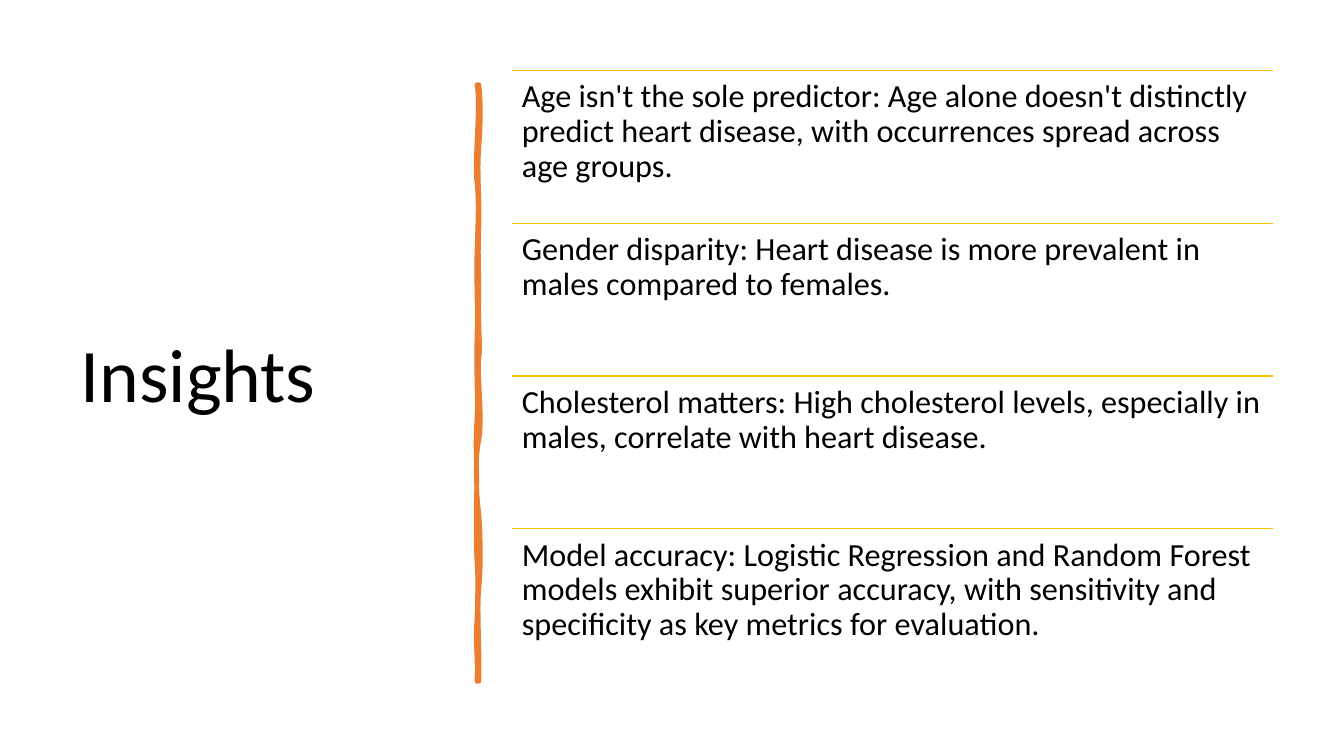
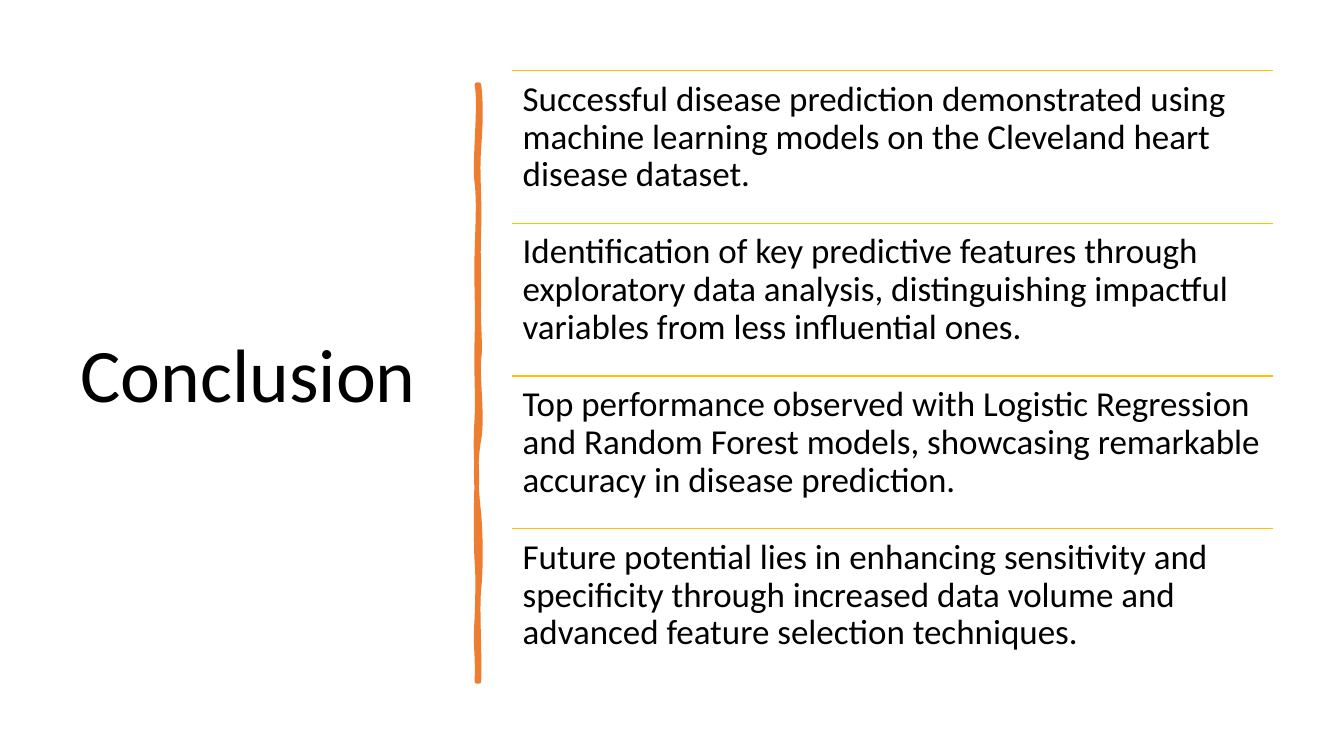
from collections import namedtuple
from dataclasses import dataclass

from lxml import etree
from pptx import Presentation
from pptx import util as u
from pptx.dml.color import RGBColor
from pptx.enum import shapes, text
from pptx.oxml import ns

EMU_PER_PX = 9144

Box = namedtuple("Box", "left top width height")


@dataclass(frozen=True)
class Theme:
    font: str = "Calibri"
    ink: RGBColor = RGBColor(0x00, 0x00, 0x00)
    paper: RGBColor = RGBColor(0xFF, 0xFF, 0xFF)
    brush: RGBColor = RGBColor(0xED, 0x7D, 0x31)
    rule: RGBColor = RGBColor(0xFF, 0xC0, 0x00)
    title_size: int = 54
    brush_weight: float = 3.25
    rule_weight: float = 1
    line_spacing: float = 0.9


THEME = Theme()

SLIDE_SIZE = (1333, 750)
TITLE_BOX = Box(70, 70, 374, 610)
BRUSH_BOX = Box(473, 84, 2, 592)
POINTS_BOX = Box(508, 70, 755, 606)
POINT_INSET_PER_PT = 5 / 12
TITLE_INSETS = (10, 5)

BRUSH_START = (2, 0)
BRUSH_CURVES = [
    ((4, 18), (4, 35), (2, 62)),
    ((0, 89), (3, 111), (2, 142)),
    ((1, 173), (2, 178), (2, 210)),
    ((1, 241), (4, 258), (2, 272)),
    ((0, 286), (6, 330), (2, 352)),
    ((-2, 373), (-1, 400), (2, 426)),
    ((4, 452), (4, 480), (2, 500)),
    ((0, 519), (3, 566), (2, 592)),
    ((1, 592), (0, 592), (0, 592)),
    ((1, 562), (-2, 560), (0, 529)),
    ((1, 499), (1, 486), (0, 473)),
    ((-1, 460), (-1, 411), (0, 393)),
    ((0, 375), (-2, 361), (0, 331)),
    ((1, 302), (-1, 289), (0, 251)),
    ((1, 214), (-1, 197), (0, 166)),
    ((1, 134), (2, 116), (0, 97)),
    ((-3, 79), (4, 20), (0, 0)),
]

SLIDES = [
    ("Insights", 23, [
        "Age isn't the sole predictor: Age alone doesn't distinctly predict "
        "heart disease, with occurrences spread across age groups.",
        "Gender disparity: Heart disease is more prevalent in males compared "
        "to females.",
        "Cholesterol matters: High cholesterol levels, especially in males, "
        "correlate with heart disease.",
        "Model accuracy: Logistic Regression and Random Forest models exhibit "
        "superior accuracy, with sensitivity and specificity as key metrics "
        "for evaluation.",
    ]),
    ("Conclusion", 25, [
        "Successful disease prediction demonstrated using machine learning "
        "models on the Cleveland heart disease dataset.",
        "Identification of key predictive features through exploratory data "
        "analysis, distinguishing impactful variables from less influential "
        "ones.",
        "Top performance observed with Logistic Regression and Random Forest "
        "models, showcasing remarkable accuracy in disease prediction.",
        "Future potential lies in enhancing sensitivity and specificity "
        "through increased data volume and advanced feature selection "
        "techniques.",
    ]),
]


def px(length):
    return u.Emu(round(length * EMU_PER_PX))


def add_words(slide, box, words, size, insets, anchor):
    frame = slide.shapes.add_textbox(*map(px, box)).text_frame
    frame.word_wrap = True
    frame.vertical_anchor = anchor
    frame.margin_left = frame.margin_right = px(insets[0])
    frame.margin_top = frame.margin_bottom = px(insets[1])
    frame.text = words
    paragraph = frame.paragraphs[0]
    paragraph.line_spacing = THEME.line_spacing
    font = paragraph.runs[0].font
    font.name = THEME.font
    font.size = u.Pt(size)
    font.color.rgb = THEME.ink


def add_title(slide, box, title):
    add_words(slide, box, title, THEME.title_size, TITLE_INSETS,
              text.MSO_ANCHOR.MIDDLE)


def bend_segments(outline, curves):
    segments = list(outline._element.iter(ns.qn("a:lnTo")))
    for segment, curve in zip(segments, curves):
        bend = etree.Element(ns.qn("a:cubicBezTo"))
        for x, y in curve:
            etree.SubElement(bend, ns.qn("a:pt"), x=str(px(x)), y=str(px(y)))
        segment.getparent().replace(segment, bend)


def add_brush_stroke(slide, box):
    def place(point):
        return px(box.left + point[0]), px(box.top + point[1])

    outline = slide.shapes.build_freeform(*place(BRUSH_START), scale=1.0)
    outline.add_line_segments(
        [place(curve[-1]) for curve in BRUSH_CURVES], close=True,
    )
    stroke = outline.convert_to_shape()
    bend_segments(stroke, BRUSH_CURVES)
    stroke.shadow.inherit = False
    stroke.fill.solid()
    stroke.fill.fore_color.rgb = THEME.brush
    stroke.line.color.rgb = THEME.brush
    stroke.line.width = u.Pt(THEME.brush_weight)
    line = stroke._element.spPr.find(ns.qn("a:ln"))
    etree.SubElement(line, ns.qn("a:round"))


def add_rule(slide, left, top, width):
    rule = slide.shapes.add_connector(
        shapes.MSO_CONNECTOR.STRAIGHT,
        px(left), px(top), px(left + width), px(top),
    )
    rule.line.color.rgb = THEME.rule
    rule.line.width = u.Pt(THEME.rule_weight)
    etree.SubElement(rule._element.spPr, ns.qn("a:effectLst"))


def add_points(slide, box, points, size):
    row_height = box.height / len(points)
    inset = size * POINT_INSET_PER_PT
    for index, point in enumerate(points):
        row = box._replace(top=box.top + index * row_height, height=row_height)
        add_rule(slide, row.left, row.top, row.width)
        add_words(slide, row, point, size, (inset, inset),
                  text.MSO_ANCHOR.TOP)


def add_summary_slide(deck, title, size, points):
    slide = deck.slides.add_slide(deck.slide_layouts[6])
    slide.background.fill.solid()
    slide.background.fill.fore_color.rgb = THEME.paper
    add_title(slide, TITLE_BOX, title)
    add_brush_stroke(slide, BRUSH_BOX)
    add_points(slide, POINTS_BOX, points, size)


def main():
    deck = Presentation()
    deck.slide_width, deck.slide_height = map(px, SLIDE_SIZE)
    for title, size, points in SLIDES:
        add_summary_slide(deck, title, size, points)
    deck.save("out.pptx")


if __name__ == "__main__":
    main()
